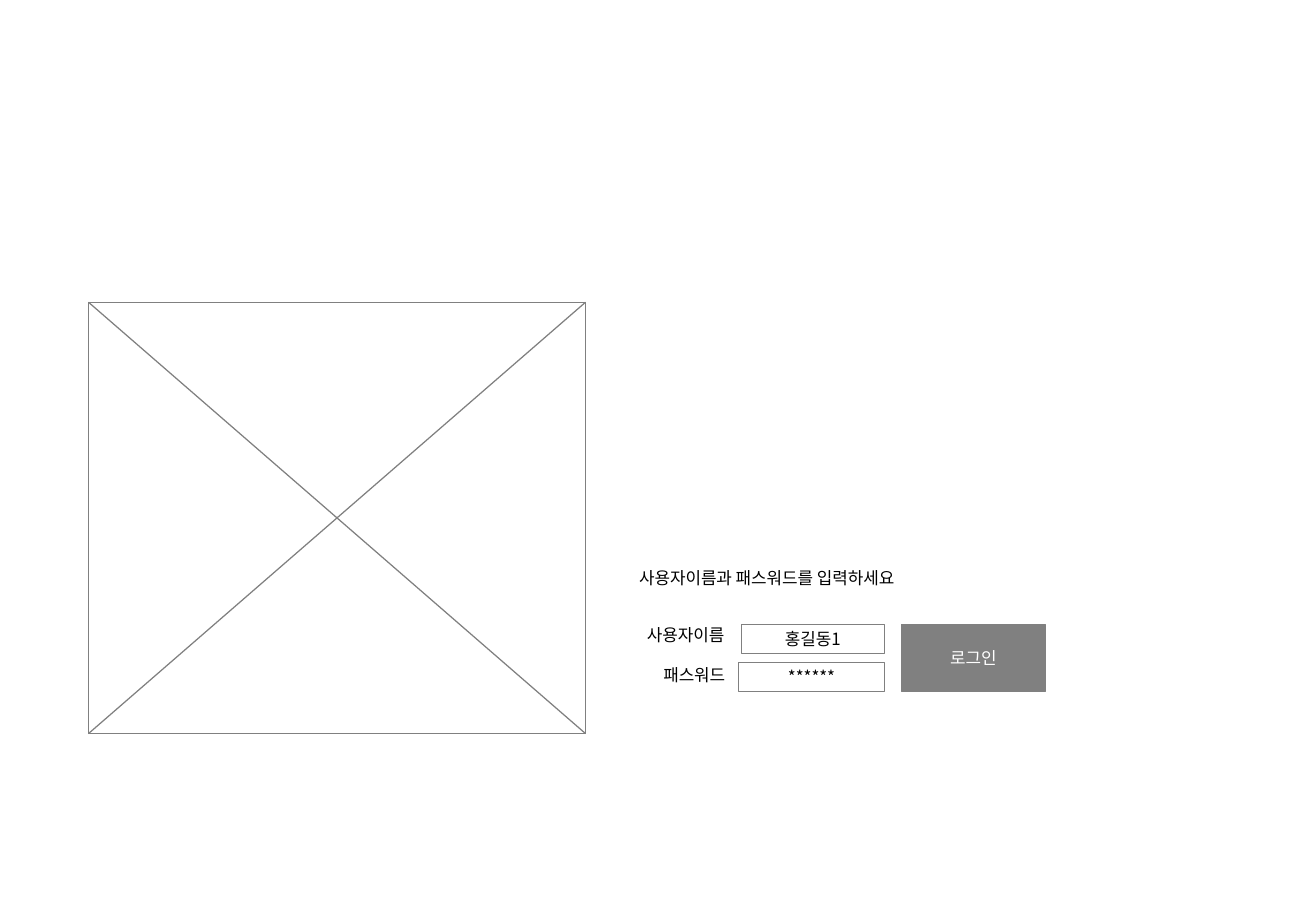
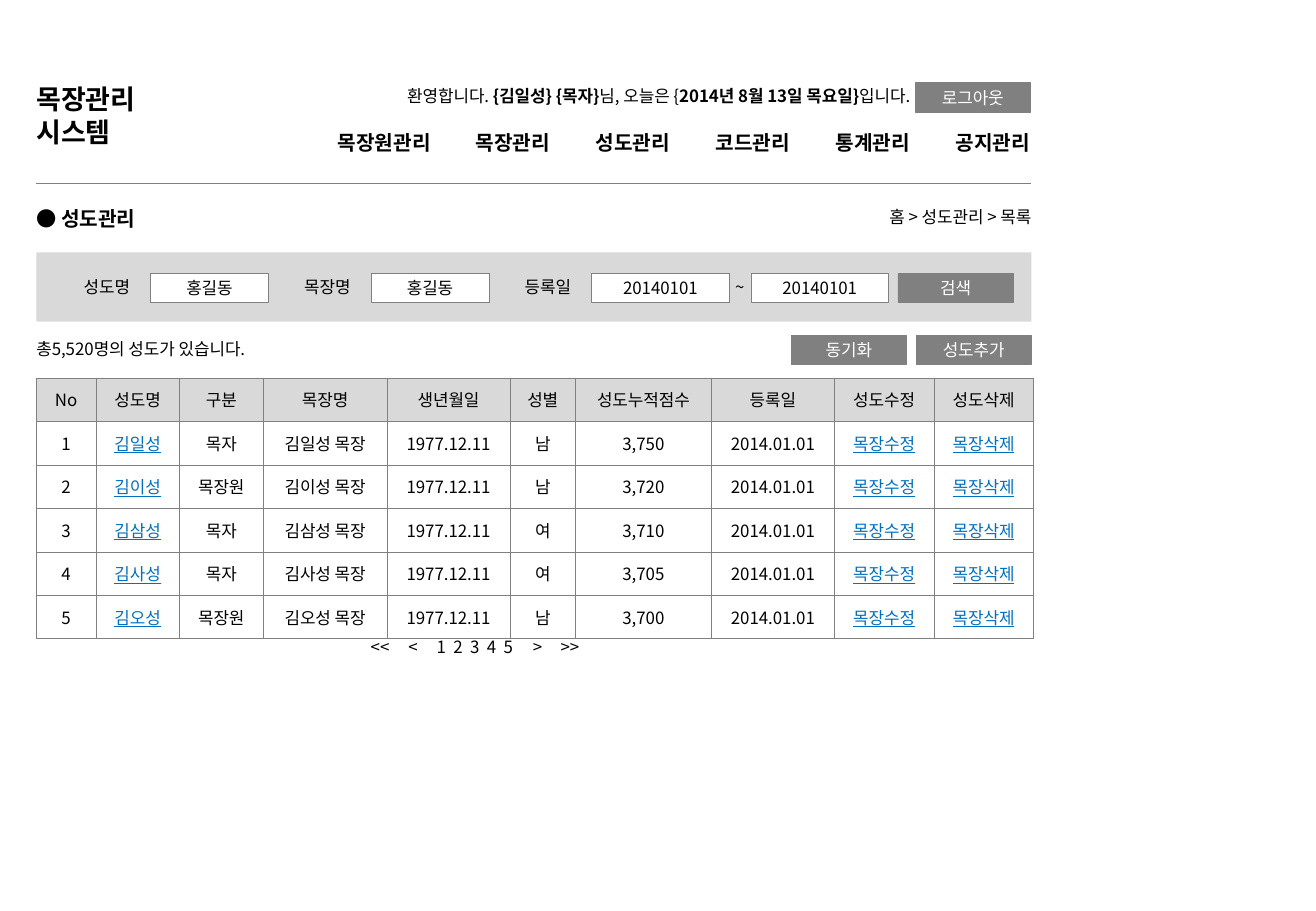
from dataclasses import dataclass
from lxml.etree import SubElement
from pptx import Presentation
from pptx.dml.color import RGBColor
from pptx.enum.shapes import MSO_CONNECTOR, MSO_SHAPE
from pptx.enum.text import MSO_ANCHOR, MSO_AUTO_SIZE, PP_ALIGN
from pptx.oxml import parse_xml
from pptx.oxml.ns import nsdecls, qn
from pptx.util import Cm, Pt

# ---- Content ----
LOGIN_PROMPT = "사용자이름과 패스워드를 입력하세요"
# label, value, label left, label top, label width, field left, field top, field width
LOGIN_FIELDS = [
    ("사용자이름", "홍길동1", 13.36, 13.06, 1.78, 15.49, 13.06, 3),
    ("패스워드", "******", 13.74, 13.89, 1.42, 15.44, 13.84, 3.05),
]
BRAND = ["목장관리", "시스템"]
WELCOME = [("환영합니다. ", False), ("{김일성} {목자}", True), ("님, 오늘은 {", False),
           ("2014년 8월 13일 목요일}", True), ("입니다.", False)]
MENU = ["목장원관리", "목장관리", "성도관리", "코드관리", "통계관리", "공지관리"]
HEADING = "● 성도관리"
BREADCRUMB = "홈 > 성도관리 > 목록"
SEARCH_FIELDS = [("성도명", "홍길동", 2.46), ("목장명", "홍길동", 2.46), ("등록일", "20140101", 2.87)]
SEARCH_END_DATE = "20140101"
MEMBER_COUNT = "총5,520명의 성도가 있습니다."
BUTTONS = [("로그아웃", 19.13, 1.73), ("검색", 18.77, 5.72),
           ("동기화", 16.54, 7.01), ("성도추가", 19.15, 7.01)]
COLUMNS = [("No", 1.24), ("성도명", 1.75), ("구분", 1.75), ("목장명", 2.59), ("생년월일", 2.57),
           ("성별", 1.37), ("성도누적점수", 2.84), ("등록일", 2.57), ("성도수정", 2.08), ("성도삭제", 2.08)]
MEMBERS = [("김일성", "목자", "남", "3,750"), ("김이성", "목장원", "남", "3,720"),
           ("김삼성", "목자", "여", "3,710"), ("김사성", "목자", "여", "3,705"),
           ("김오성", "목장원", "남", "3,700")]
BIRTH_DATE, JOIN_DATE = "1977.12.11", "2014.01.01"
ROW_ACTIONS = ("목장수정", "목장삭제")
LINK_COLUMNS = {1, 8, 9}
PAGER = ["<<", "<", "1", "2", "3", "4", "5", ">", ">>"]


# ---- Theme ----
@dataclass(frozen=True)
class Theme:
    font: str = "Noto Sans CJK KR"
    ink: str = "000000"
    paper: str = "FFFFFF"
    gray: str = "808080"
    band: str = "D9D9D9"
    link: str = "0070C0"
    body: int = 10
    heading: int = 12
    brand: int = 16
    hairline: float = 0.25
    rule: float = 0.75


THEME = Theme()
LEFT, CONTENT_WIDTH = 0.76, 20.8
FIELD_HEIGHT, LABEL_HEIGHT, BUTTON_WIDTH = 0.61, 0.43, 2.41

deck = Presentation()
deck.slide_width, deck.slide_height = Cm(27.51), Cm(19.05)


# ---- Text ----
def add_span(para, words, color=THEME.ink, size=THEME.body, **format_values):
    span = para.add_run()
    span.text = words
    for name, value in {"name": THEME.font, "size": Pt(size), **format_values}.items():
        setattr(span.font, name, value)
    span.font.color.rgb = RGBColor.from_string(color)
    east_asian = SubElement(span.font._element, qn("a:ea"))
    east_asian.set("typeface", THEME.font)


def write(frame, lines, align=PP_ALIGN.LEFT, anchor=MSO_ANCHOR.TOP, **format_values):
    settings = {"word_wrap": True, "auto_size": MSO_AUTO_SIZE.NONE, "vertical_anchor": anchor,
                "margin_left": 0, "margin_right": 0, "margin_top": 0, "margin_bottom": 0}
    for name, value in settings.items():
        setattr(frame, name, value)
    for index, words in enumerate(lines):
        para = frame.add_paragraph() if index else frame.paragraphs[0]
        para.alignment = align
        spans = [(words, None)] if isinstance(words, str) else words
        for text, bold in spans:
            extra = {} if bold is None else {"bold": bold}
            add_span(para, text, **{**format_values, **extra})


def add_label(page, lines, left, top, width, height=LABEL_HEIGHT, **format_values):
    box = page.shapes.add_textbox(Cm(left), Cm(top), Cm(width), Cm(height))
    write(box.text_frame, [lines] if isinstance(lines, str) else lines, **format_values)
    return box


def add_tabbed(page, words, stops, left, top, width, **format_values):
    box = add_label(page, "\t".join(words), left, top, width, **format_values)
    tabs = SubElement(box.text_frame.paragraphs[0]._p.get_or_add_pPr(), qn("a:tabLst"))
    for stop in stops:
        tab = SubElement(tabs, qn("a:tab"))
        tab.set("pos", str(Cm(stop)))
        tab.set("algn", "l")
    return box


def set_title(page, words, left, top, width, height=LABEL_HEIGHT, **format_values):
    title = page.shapes.title
    for name, value in zip(("left", "top", "width", "height"), (left, top, width, height)):
        setattr(title, name, Cm(value))
    write(title.text_frame, [words], **format_values)


# ---- Shapes ----
def add_box(shapes, left, top, width, height, fill=THEME.paper, line=THEME.gray):
    box = shapes.add_shape(MSO_SHAPE.RECTANGLE, Cm(left), Cm(top), Cm(width), Cm(height))
    box.shadow.inherit = False
    box.fill.solid()
    box.fill.fore_color.rgb = RGBColor.from_string(fill)
    if line:
        box.line.color.rgb = RGBColor.from_string(line)
        box.line.width = Pt(THEME.hairline)
    else:
        box.line.fill.background()
    return box


def add_control(page, words, left, top, width, height=FIELD_HEIGHT, fill=THEME.paper, color=THEME.ink):
    box = add_box(page.shapes, left, top, width, height, fill)
    write(box.text_frame, [words], PP_ALIGN.CENTER, MSO_ANCHOR.MIDDLE, color=color)


def add_button(page, words, left, top, width=BUTTON_WIDTH, height=FIELD_HEIGHT):
    add_control(page, words, left, top, width, height, THEME.gray, THEME.paper)


def add_rule(shapes, *ends):
    rule = shapes.add_connector(MSO_CONNECTOR.STRAIGHT, *(Cm(end) for end in ends))
    rule.line.color.rgb = RGBColor.from_string(THEME.gray)
    rule.line.width = Pt(THEME.rule)
    SubElement(rule._element.spPr, qn("a:effectLst"))


def style_cell(cell, words, is_header, is_link):
    for side in ("left", "right", "top", "bottom"):
        setattr(cell, f"margin_{side}", Cm(0.2))
    para = cell.text_frame.paragraphs[0]
    para.alignment = PP_ALIGN.CENTER
    link_format = {"color": THEME.link, "underline": True} if is_link else {}
    add_span(para, words, **link_format)
    if is_header:
        cell.fill.solid()
        cell.fill.fore_color.rgb = RGBColor.from_string(THEME.band)
    else:
        cell.fill.background()
    properties = cell._tc.get_or_add_tcPr()
    for index, edge in enumerate(("lnL", "lnR", "lnT", "lnB")):
        properties.insert(index, parse_xml(
            f'<a:{edge} {nsdecls("a")} w="{Pt(THEME.hairline)}"><a:solidFill>'
            f'<a:srgbClr val="{THEME.gray}"/></a:solidFill></a:{edge}>'))


def new_page():
    page = deck.slides.add_slide(deck.slide_layouts.get_by_name("Title Only"))
    for holder in list(page.placeholders):
        if holder != page.shapes.title:
            holder._element.getparent().remove(holder._element)
    return page


# ---- Login page ----
login = new_page()
left, top, width, height = 1.85, 6.32, 10.39, 9.02
image_area = login.shapes.add_group_shape().shapes
add_box(image_area, left, top, width, height)
add_rule(image_area, left, top, left + width, top + height)
add_rule(image_area, left, top + height, left + width, top)

set_title(login, LOGIN_PROMPT, 13.36, 11.86, 5.94)
for label, value, label_left, label_top, label_width, field_left, field_top, field_width in LOGIN_FIELDS:
    add_label(login, label, label_left, label_top, label_width, align=PP_ALIGN.RIGHT)
    add_control(login, value, field_left, field_top, field_width)
add_button(login, "로그인", 18.85, 13.06, 3, 1.4)

# ---- Member list: header ----
members = new_page()
add_label(members, BRAND, LEFT, 1.73, 2.24, 1.37, size=THEME.brand, bold=True)
add_label(members, [WELCOME], 3.15, 1.8, 15.88, align=PP_ALIGN.RIGHT)
menu_stops = [2.88 + 2.51 * index for index in range(len(MENU) - 1)]
menu = add_tabbed(members, MENU, menu_stops, 5.56, 2.72, 16.1, height=0.51,
                  size=THEME.heading, bold=True)
menu.text_frame.margin_left = Cm(1.5)
add_rule(members.shapes, LEFT, 3.84, LEFT + CONTENT_WIDTH, 3.84)
set_title(members, HEADING, LEFT, 4.32, 5.41, 0.51, size=THEME.heading, bold=True)
add_label(members, BREADCRUMB, 13.89, 4.32, 7.67, align=PP_ALIGN.RIGHT)

# ---- Member list: search bar ----
add_box(members.shapes, LEFT, 5.28, CONTENT_WIDTH, 1.45, THEME.band, None)
for index, (label, value, width) in enumerate(SEARCH_FIELDS):
    field_left = 3.15 + 4.61 * index
    add_label(members, label, field_left - 1.4, 5.79, 1.07)
    add_control(members, value, field_left, 5.72, width)
add_label(members, "~", 15.37, 5.79, 0.28)
add_control(members, SEARCH_END_DATE, 15.7, 5.72, 2.87)
add_label(members, MEMBER_COUNT, LEFT, 7.09, 4.85)
for words, left, top in BUTTONS:
    add_button(members, words, left, top)

# ---- Member list: table ----
rows = [[name for name, _ in COLUMNS]]
for number, (name, role, gender, score) in enumerate(MEMBERS, 1):
    rows.append([str(number), name, role, f"{name} 목장", BIRTH_DATE, gender, score, JOIN_DATE, *ROW_ACTIONS])
row_height = 0.66
table = members.shapes.add_table(len(rows), len(COLUMNS), Cm(LEFT), Cm(7.9), Cm(CONTENT_WIDTH),
                                 Cm(row_height * len(rows))).table
table.first_row = table.horz_banding = False
for column, (_, width) in zip(table.columns, COLUMNS):
    column.width = Cm(width)
for row_index, values in enumerate(rows):
    table.rows[row_index].height = Cm(row_height)
    for column_index, words in enumerate(values):
        is_header = row_index == 0
        style_cell(table.cell(row_index, column_index), words, is_header,
                   not is_header and column_index in LINK_COLUMNS)

# ---- Member list: pager ----
number_stops = [1.38 + 0.35 * index for index in range(5)]
add_tabbed(members, PAGER, [0.79, *number_stops, 3.39, 3.97], 7.75, 13.31, 5.72)

deck.save("out.pptx")
